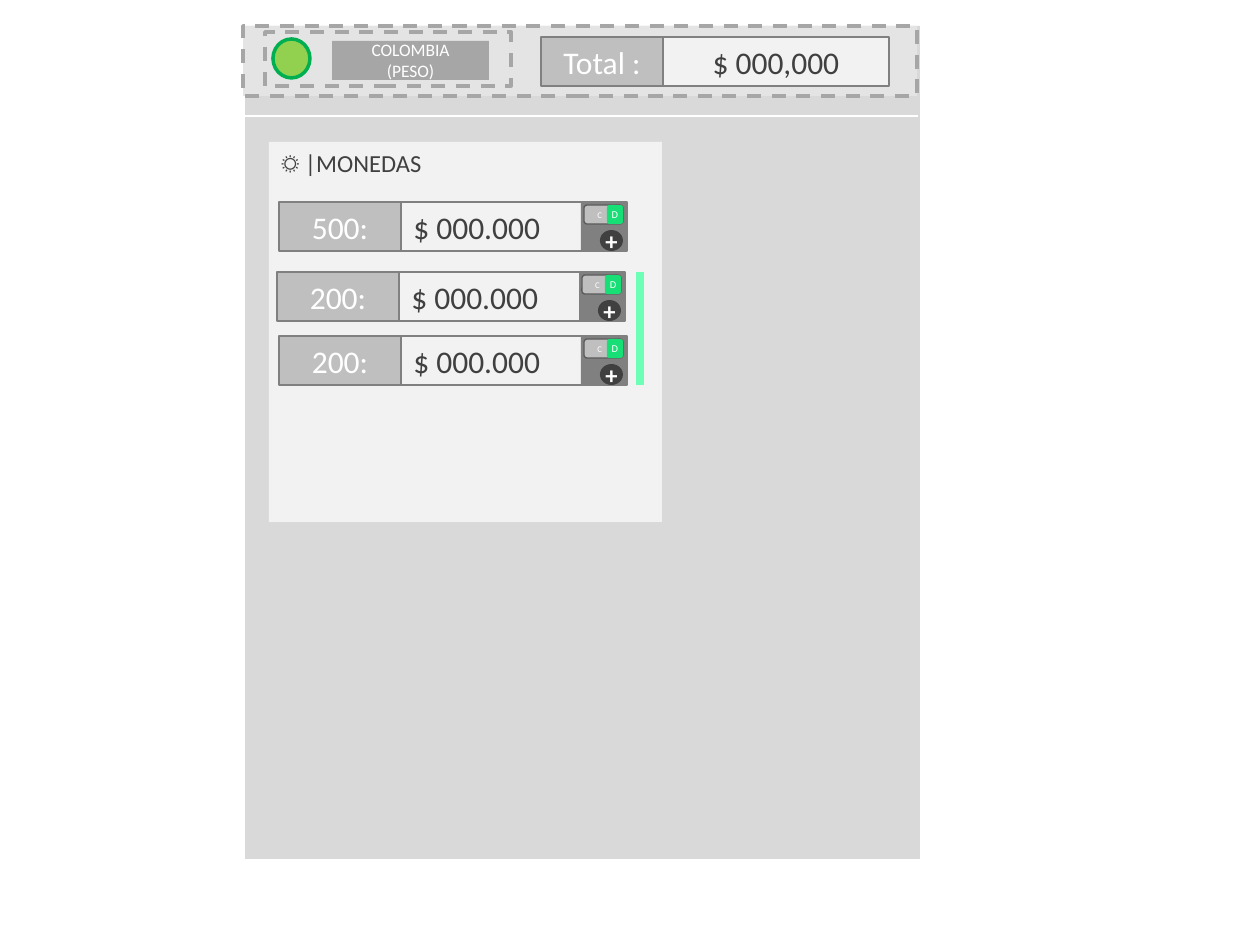
from dataclasses import dataclass

from lxml.etree import SubElement
from pptx import Presentation
from pptx.dml.color import RGBColor
from pptx.enum.dml import MSO_LINE
from pptx.enum.shapes import MSO_CONNECTOR, MSO_SHAPE as Shape
from pptx.enum.text import MSO_ANCHOR as Anchor, PP_ALIGN as Align
from pptx.oxml.ns import qn
from pptx.util import Inches, Pt

SCALE = Inches(1) / 126


@dataclass(frozen=True)
class Theme:
    """Colours and type sizes of the slide."""
    font: str = "Calibri"
    white: str = "FFFFFF"
    page: str = "D9D9D9"
    header: str = "E4E4E4"
    panel: str = "F2F2F2"
    label: str = "BFBFBF"
    badge: str = "A6A6A6"
    control: str = "808080"
    outline: str = "595959"
    ink: str = "404040"
    status: str = "92D050"
    status_edge: str = "00B050"
    active: str = "17DF76"
    marker: str = "6DFFB6"
    amount_size: float = 18
    heading_size: float = 14
    badge_size: float = 10
    on_size: float = 6
    off_size: float = 5


THEME = Theme()


def px(length):
    """Turn pixels into EMU."""
    return round(length * SCALE)


def add_box(parent, kind, bounds, fill=None, edge=None, width=0.75, dashed=False):
    """Add a flat shape at (left, top, width, height)."""
    box = parent.shapes.add_shape(kind, *map(px, bounds))
    box.shadow.inherit = False
    if fill:
        box.fill.solid()
        box.fill.fore_color.rgb = RGBColor.from_string(fill)
    else:
        box.fill.background()
    if edge:
        box.line.color.rgb = RGBColor.from_string(edge)
        box.line.width = Pt(width)
        if dashed:
            box.line.dash_style = MSO_LINE.DASH
    else:
        box.line.fill.background()
    return box


def write(box, lines, size, color=THEME.white, align=Align.CENTER,
          anchor=Anchor.MIDDLE, bold=False, tight=False):
    """Write one paragraph per line; tight drops the insets and wrapping."""
    frame = box.text_frame
    frame.word_wrap = not tight
    frame.vertical_anchor = anchor
    if tight:
        frame.margin_left = frame.margin_right = 0
        frame.margin_top = frame.margin_bottom = 0
    for index, line in enumerate(lines):
        para = frame.add_paragraph() if index else frame.paragraphs[0]
        para.text = line
        para.alignment = align
        para.font.name = THEME.font
        para.font.size = Pt(size)
        para.font.bold = bold
        para.font.color.rgb = RGBColor.from_string(color)


def add_line(page, start, end, color, width):
    """Draw a straight line without a shadow."""
    line = page.shapes.add_connector(MSO_CONNECTOR.STRAIGHT, *map(px, start + end))
    line.line.color.rgb = RGBColor.from_string(color)
    line.line.width = Pt(width)
    SubElement(line._element.spPr, qn("a:effectLst"))


def add_amount(group, left, top, label, amount, align):
    """Add a label cell and the amount cell beside it."""
    name = add_box(group, Shape.RECTANGLE, (left, top, 122, 49), THEME.label, THEME.control)
    write(name, [label], THEME.amount_size)
    value = add_box(group, Shape.RECTANGLE, (left + 122, top, 226, 49),
                    THEME.panel, THEME.control)
    write(value, [amount], THEME.amount_size, THEME.ink, align)


def add_header(page, left, top):
    """Add the dashed header with the currency badge and the total."""
    group = page.shapes.add_group_shape()
    add_box(group, Shape.RECTANGLE, (left, top, 674, 70), THEME.header, THEME.badge, 2, True)
    add_amount(group, left + 298, top + 11, "Total :", "$ 000,000", Align.CENTER)
    badge = add_box(group, Shape.RECTANGLE, (left + 89, top + 15, 157, 39), THEME.badge)
    write(badge, ["COLOMBIA", "(PESO)"], THEME.badge_size)
    add_box(group, Shape.OVAL, (left + 30, top + 13, 37, 39),
            THEME.status, THEME.status_edge, 2)
    add_box(group, Shape.RECTANGLE, (left + 22, top + 6, 246, 54),
            edge=THEME.badge, width=2, dashed=True)


def add_coin_row(page, left, top, label):
    """Add one coin row: amount, C/D switch and plus button."""
    group = page.shapes.add_group_shape()
    add_amount(group, left, top, label, "$ 000.000", Align.LEFT)
    add_box(group, Shape.RECTANGLE, (left + 302, top, 46, 49), THEME.control)
    switch = add_box(group, Shape.ROUNDED_RECTANGLE, (left + 305, top + 3, 39, 19),
                     THEME.label, THEME.outline)
    write(switch, ["C"], THEME.off_size, align=Align.LEFT)
    knob = add_box(group, Shape.ROUNDED_RECTANGLE, (left + 328, top + 3, 16, 19), THEME.active)
    write(knob, ["D"], THEME.on_size, tight=True)
    button = add_box(group, Shape.OVAL, (left + 321, top + 28, 23, 21), THEME.ink)
    write(button, ["+"], THEME.heading_size, bold=True, tight=True)


def add_coin_panel(page, left, top):
    """Add the coin panel, its rows and the marker beside the last two."""
    panel = add_box(page, Shape.RECTANGLE, (left, top, 393, 380), THEME.panel)
    write(panel, ["☼ |MONEDAS"], THEME.heading_size, THEME.ink, Align.LEFT, Anchor.TOP)
    for x, y, label in ((10, 60, "500:"), (8, 130, "200:"), (10, 194, "200:")):
        add_coin_row(page, left + x, top + y, label)
    add_line(page, (left + 371, top + 130), (left + 371, top + 243), THEME.marker, 4.5)


def main():
    """Build the deck and save it."""
    deck = Presentation()
    deck.slide_width, deck.slide_height = Inches(10), Inches(7.5)
    page = deck.slides.add_slide(deck.slide_layouts[6])
    add_box(page, Shape.RECTANGLE, (245, 26, 675, 833), THEME.page)
    add_line(page, (243, 116), (918, 116), THEME.white, 0.75)
    add_header(page, 243, 26)
    add_coin_panel(page, 269, 142)
    deck.save("out.pptx")


main()
